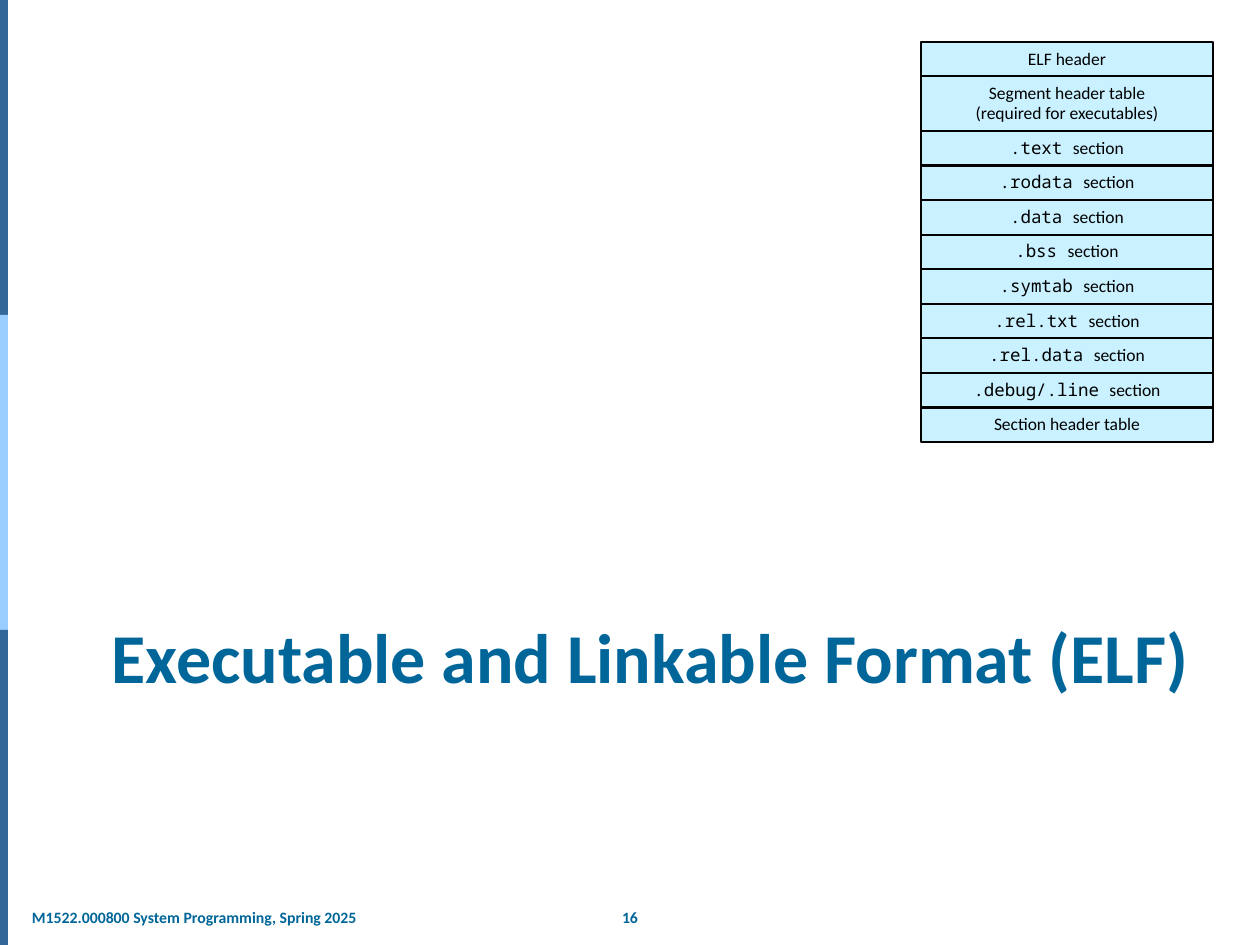
from pptx import Presentation
from pptx.dml.color import RGBColor
from pptx.enum.shapes import MSO_SHAPE
from pptx.enum.text import MSO_ANCHOR, MSO_AUTO_SIZE, PP_ALIGN
from pptx.util import Pt

EMU_PER_PX = 914400 / 126
RECTANGLE = MSO_SHAPE.RECTANGLE
LEFT, CENTER = PP_ALIGN.LEFT, PP_ALIGN.CENTER
TOP, MIDDLE = MSO_ANCHOR.TOP, MSO_ANCHOR.MIDDLE
NO_AUTOFIT, GROW = MSO_AUTO_SIZE.NONE, MSO_AUTO_SIZE.SHAPE_TO_FIT_TEXT

COLORS = {
    "heading": "006699",
    "bar_dark": "336699",
    "bar_light": "99CCFF",
    "cell": "C9F1FF",
    "ink": "000000",
}
BODY_FONT, CODE_FONT = "Calibri", "Noto Sans Mono"

SLIDE_WIDTH, SLIDE_HEIGHT = 1260, 945
BAR_WIDTH = 8
ELF_LEFT, ELF_WIDTH = 921, 292
HEADER_TOP, SEGMENT_TOP, SECTIONS_TOP, ELF_BOTTOM = 42, 76, 131, 442
SECTIONS = [".text", ".rodata", ".data", ".bss", ".symtab",
            ".rel.txt", ".rel.data", ".debug/.line"]


def px(length):
    return round(length * EMU_PER_PX)


def color(name):
    return RGBColor.from_string(COLORS[name])


def add_run(paragraph, text, size, ink, font=BODY_FONT, bold=False):
    run = paragraph.add_run()
    run.text = text
    run.font.name = font
    run.font.size = Pt(size)
    run.font.bold = bold
    run.font.color.rgb = color(ink)


def add_box(shapes, left, top, width, height, fill):
    box = shapes.add_shape(RECTANGLE, px(left), px(top), px(width), px(height))
    box.shadow.inherit = False
    box.fill.solid()
    box.fill.fore_color.rgb = color(fill)
    box.line.fill.background()
    return box


def add_side_bars(shapes):
    height = SLIDE_HEIGHT // 3
    for index, fill in enumerate(["bar_dark", "bar_light", "bar_dark"]):
        add_box(shapes, 0, index * height, BAR_WIDTH, height, fill)


def add_footer(shapes, text, left, width, align, side_inset):
    footer = shapes.add_textbox(px(left), px(902), px(width), px(32))
    frame = footer.text_frame
    frame.word_wrap = False
    frame.auto_size = GROW
    frame.margin_left = frame.margin_right = px(side_inset)
    paragraph = frame.paragraphs[0]
    paragraph.alignment = align
    add_run(paragraph, text, 9, "heading", bold=True)


def set_title(title, text):
    title.left, title.top = px(99), px(607)
    title.width, title.height = px(1128), px(188)
    frame = title.text_frame
    frame.auto_size = NO_AUTOFIT
    frame.vertical_anchor = TOP
    paragraph = frame.paragraphs[0]
    paragraph.alignment = LEFT
    add_run(paragraph, text, 40, "heading", bold=True)


def add_elf_row(shapes, top, bottom, lines, line_spacing):
    """Each line is a list of (text, font) runs."""
    row = add_box(shapes, ELF_LEFT, top, ELF_WIDTH, bottom - top, "cell")
    row.line.color.rgb = color("ink")
    row.line.width = Pt(1.25)
    frame = row.text_frame
    frame.word_wrap = False
    frame.vertical_anchor = MIDDLE
    for index, runs in enumerate(lines):
        paragraph = frame.add_paragraph() if index else frame.paragraphs[0]
        paragraph.alignment = CENTER
        paragraph.line_spacing = line_spacing
        for text, font in runs:
            add_run(paragraph, text, 10, "ink", font)


def add_elf_layout(shapes):
    def add_plain_row(top, bottom, *lines):
        add_elf_row(shapes, top, bottom, [[(line, BODY_FONT)] for line in lines], 0.98)

    add_plain_row(HEADER_TOP, SEGMENT_TOP, "ELF header")
    add_plain_row(SEGMENT_TOP, SECTIONS_TOP,
                  "Segment header table", "(required for executables)")

    row_height = (ELF_BOTTOM - SECTIONS_TOP) / (len(SECTIONS) + 1)
    for index, section in enumerate(SECTIONS):
        top = SECTIONS_TOP + index * row_height
        runs = [(section + " ", CODE_FONT), ("section", BODY_FONT)]
        add_elf_row(shapes, top, top + row_height, [runs], 0.94)

    add_plain_row(ELF_BOTTOM - row_height, ELF_BOTTOM, "Section header table")


def main():
    presentation = Presentation()
    presentation.slide_width = px(SLIDE_WIDTH)
    presentation.slide_height = px(SLIDE_HEIGHT)
    title_only = presentation.slide_layouts[5]
    slide = presentation.slides.add_slide(title_only)

    add_side_bars(slide.shapes)
    add_footer(slide.shapes, "16", 607, 46, CENTER, 13)
    add_footer(slide.shapes, "M1522.000800 System Programming, Spring 2025",
               25, 343, LEFT, 7)
    set_title(slide.shapes.title, "Executable and Linkable Format (ELF)")
    add_elf_layout(slide.shapes.add_group_shape().shapes)

    presentation.save("out.pptx")


if __name__ == "__main__":
    main()
